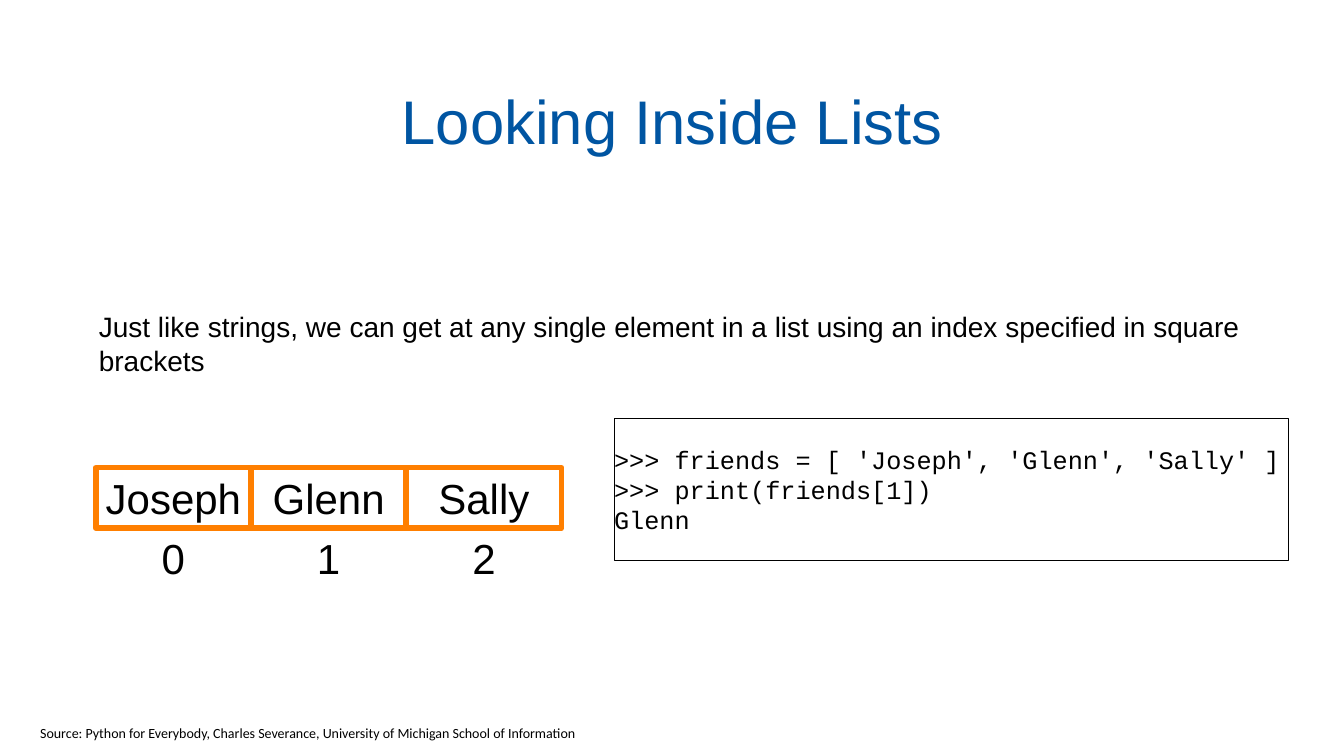
"""Build the slide on looking inside lists by index."""
from pptx import Presentation
from pptx.dml.color import RGBColor
from pptx.enum.shapes import MSO_SHAPE
from pptx.enum.text import MSO_ANCHOR, PP_ALIGN
from pptx.util import Inches, Pt

RECT = MSO_SHAPE.RECTANGLE
MIDDLE, TOP = MSO_ANCHOR.MIDDLE, MSO_ANCHOR.TOP
LEFT, CENTER = PP_ALIGN.LEFT, PP_ALIGN.CENTER
TITLE_ONLY = 5

MARGIN = 0.95
CELL_W, CELL_H, CELL_TOP = 1.54, 0.6, 4.64
INDEX_W, INDEX_TOP = 0.6, 5.23


def rgb(value):
    return RGBColor.from_string(value)


def write(sp, lines, size, font="Arial", color="000000", align=LEFT,
          anchor=MIDDLE, inset=(0, 0), wrap=True):
    tf = sp.text_frame
    dx, dy = (Inches(v) for v in inset)
    layout = {"word_wrap": wrap, "vertical_anchor": anchor,
              "margin_left": dx, "margin_right": dx,
              "margin_top": dy, "margin_bottom": dy}
    for name, value in layout.items():
        setattr(tf, name, value)
    for i, line in enumerate(lines):
        p = tf.paragraphs[0] if i == 0 else tf.add_paragraph()
        p.alignment = align
        r = p.add_run()
        r.text = line
        for name, value in {"name": font, "size": Pt(size)}.items():
            setattr(r.font, name, value)
        r.font.color.rgb = rgb(color)


prs = Presentation()
prs.slide_width, prs.slide_height = Inches(13.33), Inches(7.5)
slide = prs.slides.add_slide(prs.slide_layouts[TITLE_ONLY])
shapes = slide.shapes

title = shapes.title
place = {"left": 0.67, "top": 0.63, "width": 12, "height": 1.12}
for name, value in place.items():
    setattr(title, name, Inches(value))
write(title, ["Looking Inside Lists"], 44, color="0055A2", align=CENTER,
      inset=(0.03, 0.03))

body = shapes.add_textbox(*map(Inches, (MARGIN, 2.14, 11.43, 2.53)))
write(body, ["Just like strings, we can get at any single element in a list "
             "using an index specified in square brackets"], 20,
      inset=(0.03, 0.03))

boxes = []
for i, friend in enumerate(["Joseph", "Glenn", "Sally"]):
    x = MARGIN + i * CELL_W
    index_x = x + (CELL_W - INDEX_W) / 2
    index = shapes.add_textbox(
        *map(Inches, (index_x, INDEX_TOP, INDEX_W, CELL_H)))
    write(index, [str(i)], 30, align=CENTER)
    cell = shapes.add_shape(RECT, *map(Inches, (x, CELL_TOP, CELL_W, CELL_H)))
    write(cell, [friend], 30, align=CENTER)
    boxes.append((cell, "FF7F00", 4))

code = shapes.add_shape(RECT, *map(Inches, (6.09, 4.15, 6.69, 1.41)))
write(code, [">>> friends = [ 'Joseph', 'Glenn', 'Sally' ]",
             ">>> print(friends[1])",
             "Glenn"], 18, font="Courier New")
boxes.append((code, "000000", 0.75))

for sp, color, width in boxes:
    sp.shadow.inherit = False
    sp.fill.background()
    sp.line.color.rgb = rgb(color)
    sp.line.width = Pt(width)

source = shapes.add_textbox(*map(Inches, (0.3, 7.14, 5.6, 0.27)))
write(source, ["Source: Python for Everybody, Charles Severance, "
               "University of Michigan School of Information"], 10,
      font="Calibri", anchor=TOP, inset=(0.1, 0.05), wrap=False)

prs.save("out.pptx")
